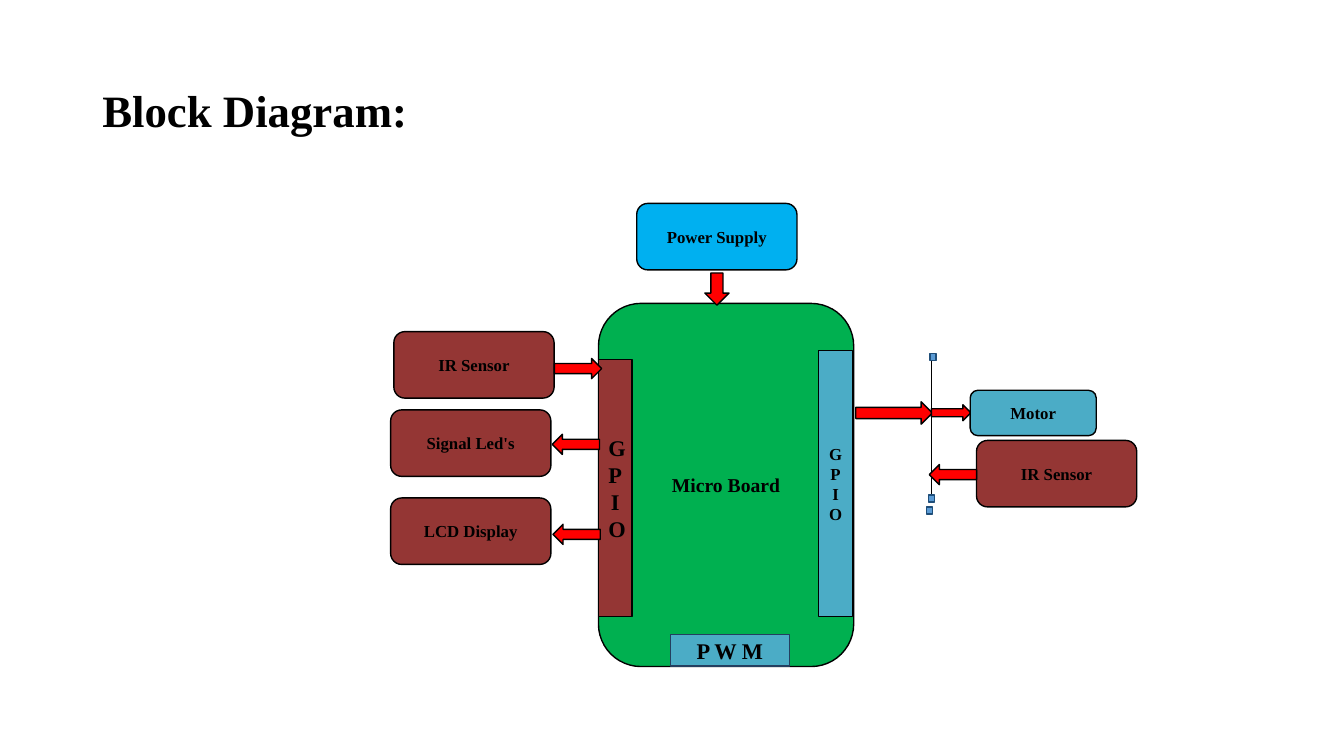
from dataclasses import dataclass

import pptx
import pptx.dml.color
import pptx.enum.shapes
import pptx.enum.text
import pptx.oxml
import pptx.oxml.ns
import pptx.util

Pt = pptx.util.Pt
Shape = pptx.enum.shapes.MSO_SHAPE


@dataclass(frozen=True)
class Theme:
    font: str = "Times New Roman"
    ink: str = "000000"
    board: str = "00B050"
    power: str = "00B0F0"
    maroon: str = "943634"
    teal: str = "4BACC6"
    teal_edge: str = "243F60"
    arrow: str = "FF0000"
    handle: str = "5B9BD5"
    handle_edge: str = "1F4E79"
    title_size: int = 32
    port_size: int = 16
    board_size: int = 14
    label_size: int = 12


THEME = Theme()
BLOCK_WIDTH, BLOCK_HEIGHT = 114.5, 47.5
SIDE_ARROW = (33.8, 14.4)
HANDLE = (4.3, 5)


def color(code):
    return pptx.dml.color.RGBColor.from_string(code)


def write(shape, text, size, align):
    frame = shape.text_frame
    frame.word_wrap = True
    frame.vertical_anchor = pptx.enum.text.MSO_ANCHOR.MIDDLE
    para = frame.paragraphs[0]
    para.text = text
    para.alignment = align
    para.font.name = THEME.font
    para.font.size = Pt(size)
    para.font.bold = True
    para.font.color.rgb = color(THEME.ink)
    return para


def add_title(page, text):
    box = page.shapes.add_textbox(Pt(66), Pt(28.8), Pt(828), Pt(104.4))
    para = write(box, text, THEME.title_size, pptx.enum.text.PP_ALIGN.LEFT)
    para.line_spacing = 0.9


def add_figure(page, kind, left, top, width, height, fill, edge=THEME.ink):
    shape = page.shapes.add_shape(kind, Pt(left), Pt(top), Pt(width), Pt(height))
    shape.shadow.inherit = False
    shape.fill.solid()
    shape.fill.fore_color.rgb = color(fill)
    shape.line.color.rgb = color(edge)
    shape.line.width = Pt(1)
    return shape


def add_block(page, text, left, top, fill, width=BLOCK_WIDTH, height=BLOCK_HEIGHT,
              size=THEME.label_size):
    block = add_figure(page, Shape.ROUNDED_RECTANGLE, left, top, width, height, fill)
    write(block, text, size, pptx.enum.text.PP_ALIGN.CENTER)


def add_port(page, text, left, top, width, height, fill, size, edge=THEME.ink):
    port = add_figure(page, Shape.RECTANGLE, left, top, width, height, fill, edge)
    write(port, text, size, pptx.enum.text.PP_ALIGN.CENTER)


def add_arrow(page, kind, left, top, width, height):
    add_figure(page, kind, left, top, width, height, THEME.arrow)


def add_bus(page, x, top, bottom):
    bus = page.shapes.add_connector(
        pptx.enum.shapes.MSO_CONNECTOR.STRAIGHT, Pt(x), Pt(top), Pt(x), Pt(bottom))
    bus.line.color.rgb = color(THEME.ink)
    bus.line.width = Pt(0.5)
    properties = bus.element.find(pptx.oxml.ns.qn("p:spPr"))
    properties.append(pptx.oxml.parse_xml(
        "<a:effectLst %s/>" % pptx.oxml.ns.nsdecls("a")))


def main():
    deck = pptx.Presentation()
    deck.slide_width, deck.slide_height = Pt(960), Pt(540)
    page = deck.slides.add_slide(deck.slide_layouts[6])

    add_title(page, "Block Diagram:")

    add_bus(page, 665.3, 254.9, 353.5)
    add_arrow(page, Shape.RIGHT_ARROW, 611.3, 287, 54.7, 16)
    for left, top in [(663.3, 353.5), (664.4, 252.6), (661.7, 362.1)]:
        add_figure(page, Shape.RECTANGLE, left, top, *HANDLE,
                   THEME.handle, THEME.handle_edge)
    add_arrow(page, Shape.RIGHT_ARROW, 665.3, 289.1, 28.3, 11.5)

    add_block(page, "Micro Board", 427.5, 216.7, THEME.board, 182.3, 259.4,
              THEME.board_size)
    add_port(page, "GPIO", 427.5, 256.8, 24, 183.6, THEME.maroon, THEME.port_size)
    add_port(page, "GPIO", 584.6, 250.4, 24.5, 190, THEME.teal, THEME.label_size)
    add_port(page, "P W M", 478.8, 453.4, 85, 22.5, THEME.teal, THEME.port_size,
             THEME.teal_edge)

    for text, left, top, fill in [
        ("Power Supply", 454.8, 145.3, THEME.power),
        ("IR Sensor", 281.3, 236.9, THEME.maroon),
        ("Signal Led's", 279, 292.8, THEME.maroon),
        ("LCD Display", 279, 355.7, THEME.maroon),
        ("IR Sensor", 697.5, 314.6, THEME.maroon),
    ]:
        add_block(page, text, left, top, fill)
    add_block(page, "Motor", 693, 278.8, THEME.teal, 90, 32.4)

    add_arrow(page, Shape.DOWN_ARROW, 503.5, 195, 17.3, 23)
    for kind, left, top in [
        (Shape.RIGHT_ARROW, 396, 256.1),
        (Shape.LEFT_ARROW, 394.5, 310.2),
        (Shape.LEFT_ARROW, 395, 374.5),
        (Shape.LEFT_ARROW, 663.8, 331.8),
    ]:
        add_arrow(page, kind, left, top, *SIDE_ARROW)

    deck.save("out.pptx")


if __name__ == "__main__":
    main()
